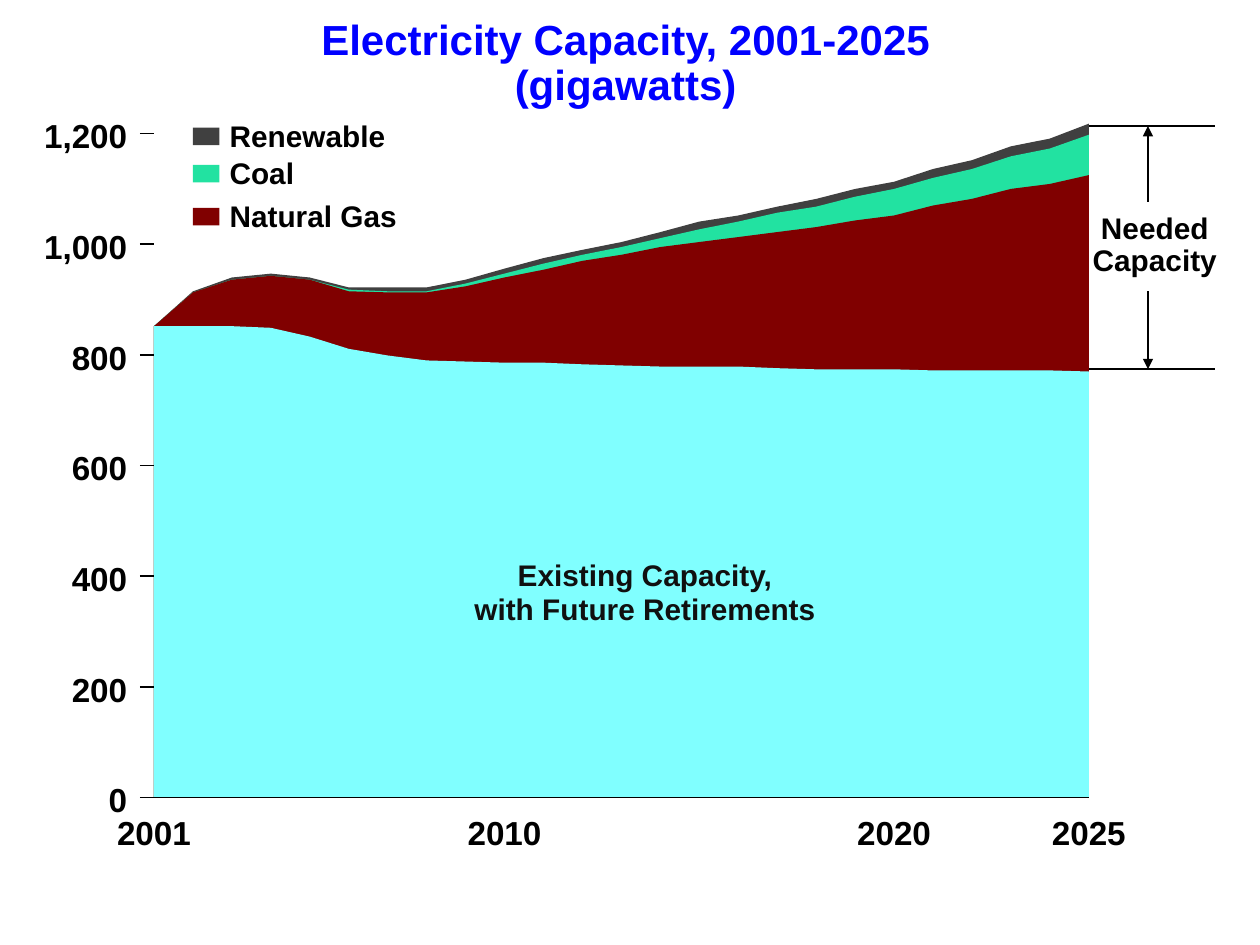
from lxml.etree import SubElement
from pptx import Presentation
from pptx.dml.color import RGBColor
from pptx.enum.shapes import MSO_CONNECTOR as Connector, MSO_SHAPE as Shape
from pptx.enum.text import MSO_ANCHOR as Anchor, MSO_AUTO_SIZE as AutoSize, PP_ALIGN as Align
from pptx.oxml.ns import qn
from pptx.util import Pt

COLORS = {
    "title": "0000FF", "ink": "000000", "note": "101010",
    "Renewable": "404040", "Coal": "22E2A1", "Natural Gas": "800000", "Existing": "80FFFF",
}
FIRST_YEAR, LAST_YEAR = 2001, 2025
LEFT, RIGHT, BASE = 88, 622.2, 455.8
POINTS_PER_GW = 0.3162
CUMULATIVE_GW = {
    "Renewable": [852, 915, 940, 947, 940, 922, 922, 922, 936, 956, 975, 990, 1004,
                  1022, 1041, 1052, 1068, 1082, 1100, 1113, 1136, 1152, 1177, 1191, 1218],
    "Coal": [852, 913, 936, 943, 936, 918, 915, 915, 929, 947, 965, 981, 995,
             1011, 1027, 1041, 1057, 1068, 1086, 1100, 1120, 1136, 1159, 1173, 1198],
    "Natural Gas": [852, 913, 936, 943, 936, 915, 913, 913, 924, 940, 954, 970, 981,
                    995, 1004, 1013, 1022, 1031, 1043, 1052, 1070, 1082, 1100, 1109, 1125],
    "Existing": [852, 852, 852, 849, 833, 811, 799, 790, 788, 786, 786, 783, 781,
                 779, 779, 779, 776, 774, 774, 774, 772, 772, 772, 772, 770],
}


def rgb(name):
    """Return the named colour."""
    return RGBColor.from_string(COLORS[name])


def year_x(year):
    """Return the horizontal place of a year."""
    return LEFT + (RIGHT - LEFT) * (year - FIRST_YEAR) / (LAST_YEAR - FIRST_YEAR)


def capacity_y(gigawatts):
    """Return the vertical place of a capacity."""
    return BASE - gigawatts * POINTS_PER_GW


def fill_text(box, lines, size, color, align, spacing=None):
    """Write bold lines into a box without margins."""
    frame = box.text_frame
    frame.margin_left = frame.margin_right = frame.margin_top = frame.margin_bottom = 0
    frame.word_wrap = False
    frame.auto_size = AutoSize.SHAPE_TO_FIT_TEXT
    frame.vertical_anchor = Anchor.TOP
    frame.text = "\n".join(lines)
    for paragraph in frame.paragraphs:
        paragraph.alignment = align
        paragraph.line_spacing = spacing
        paragraph.font.name = "Arial"
        paragraph.font.size = Pt(size)
        paragraph.font.bold = True
        paragraph.font.color.rgb = rgb(color)


def add_title(slide, lines):
    """Place the slide title above the graph."""
    title = slide.shapes.title
    title.left, title.top, title.width, title.height = Pt(180), Pt(11), Pt(355), Pt(52)
    fill_text(title, lines, 24, "title", Align.CENTER, 0.9)


def add_label(slide, area, lines, size, align=Align.CENTER, color="ink", spacing=None):
    """Add a text label over the given area."""
    label = slide.shapes.add_textbox(*map(Pt, area))
    fill_text(label, lines, size, color, align, spacing)


def paint(shape, color):
    """Give a shape a plain fill with no outline or shadow."""
    shape.shadow.inherit = False
    shape.fill.solid()
    shape.fill.fore_color.rgb = rgb(color)
    shape.line.fill.background()


def add_area(slide, source, totals):
    """Draw the area from the base line up to the totals."""
    top_edge = [(Pt(year_x(FIRST_YEAR + step)), Pt(capacity_y(total)))
                for step, total in enumerate(totals)]
    outline = slide.shapes.build_freeform(*top_edge[0])
    outline.add_line_segments(top_edge[1:] + [(Pt(RIGHT), Pt(BASE)), (Pt(LEFT), Pt(BASE))])
    paint(outline.convert_to_shape(), source)


def add_rule(slide, start, end, arrow=None):
    """Draw a thin line, with an arrowhead at headEnd or tailEnd if asked."""
    rule = slide.shapes.add_connector(Connector.STRAIGHT, *map(Pt, start + end))
    rule.line.color.rgb = rgb("ink")
    rule.line.width = Pt(1)
    if arrow:
        SubElement(rule.line._get_or_add_ln(), qn(f"a:{arrow}"), type="triangle")
    SubElement(rule._element.spPr, qn("a:effectLst"))


def add_axes(slide):
    """Draw the ticks, the base line and the axis labels."""
    for gigawatts in range(0, 1201, 200):
        y = capacity_y(gigawatts)
        add_rule(slide, (80, y), (LEFT, y))
        text = f"{gigawatts:,}"
        width = {1: 12, 3: 34, 5: 50}[len(text)]
        add_label(slide, (72.7 - width, y - 10.3, width, 23), [text], 19, Align.RIGHT)
    add_rule(slide, (LEFT, BASE), (RIGHT, BASE))
    for year in (2001, 2010, 2020, 2025):
        add_label(slide, (year_x(year) - 22.5, 464.4, 45, 23), [str(year)], 19)


def add_legend(slide):
    """Add a swatch and a name for each new source."""
    for source, top, width in (("Renewable", 67.4, 93), ("Coal", 88.6, 41),
                               ("Natural Gas", 113.2, 100)):
        swatch = slide.shapes.add_shape(
            Shape.RECTANGLE, Pt(110.2), Pt(top + 5.6), Pt(15.1), Pt(10))
        paint(swatch, source)
        add_label(slide, (131.2, top, width, 20), [source], 17, Align.LEFT)


def add_existing_capacity(slide):
    """Name the area of existing capacity, centred on two lines."""
    middle = 368.6
    for text, top, width in (("Existing Capacity,", 318.2, 152),
                             ("with Future Retirements", 337.7, 204)):
        add_label(slide, (middle - width / 2, top, width, 20), [text], 17, color="note")


def add_needed_capacity(slide):
    """Mark the gap between existing and total capacity."""
    add_label(slide, (622.4, 122.2, 75, 36.7), ["Needed", "Capacity"], 17, spacing=0.9)
    top, bottom, middle = 72, 211, 656
    for y in (top, bottom):
        add_rule(slide, (RIGHT, y), (694.5, y))
    add_rule(slide, (middle, 166.5), (middle, bottom), "tailEnd")
    add_rule(slide, (middle, top), (middle, 115.5), "headEnd")


def main():
    """Build the electricity capacity slide."""
    deck = Presentation()
    deck.slide_width, deck.slide_height = Pt(720), Pt(540)
    slide = deck.slides.add_slide(deck.slide_layouts[5])
    add_title(slide, ["Electricity Capacity, 2001-2025", "(gigawatts)"])
    for source, totals in CUMULATIVE_GW.items():
        add_area(slide, source, totals)
    add_axes(slide)
    add_legend(slide)
    add_existing_capacity(slide)
    add_needed_capacity(slide)
    deck.save("out.pptx")


if __name__ == "__main__":
    main()
